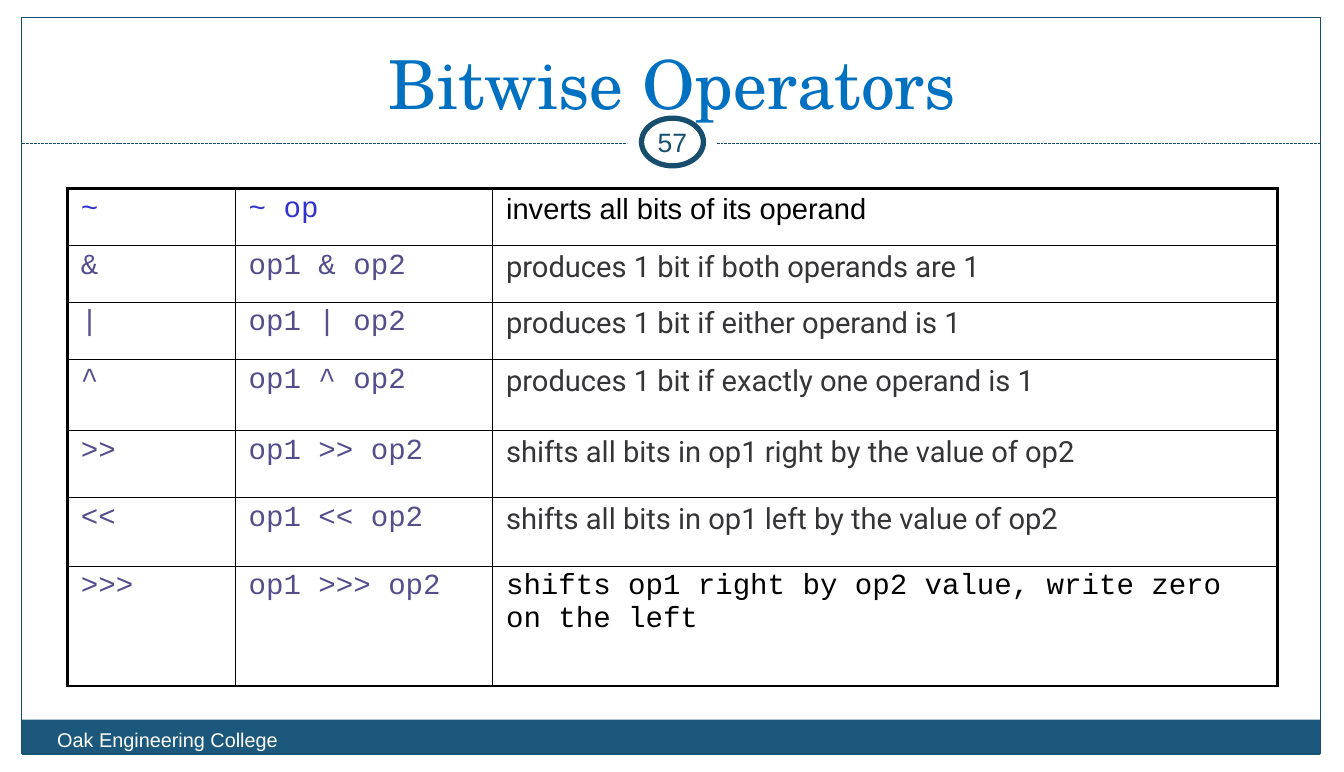
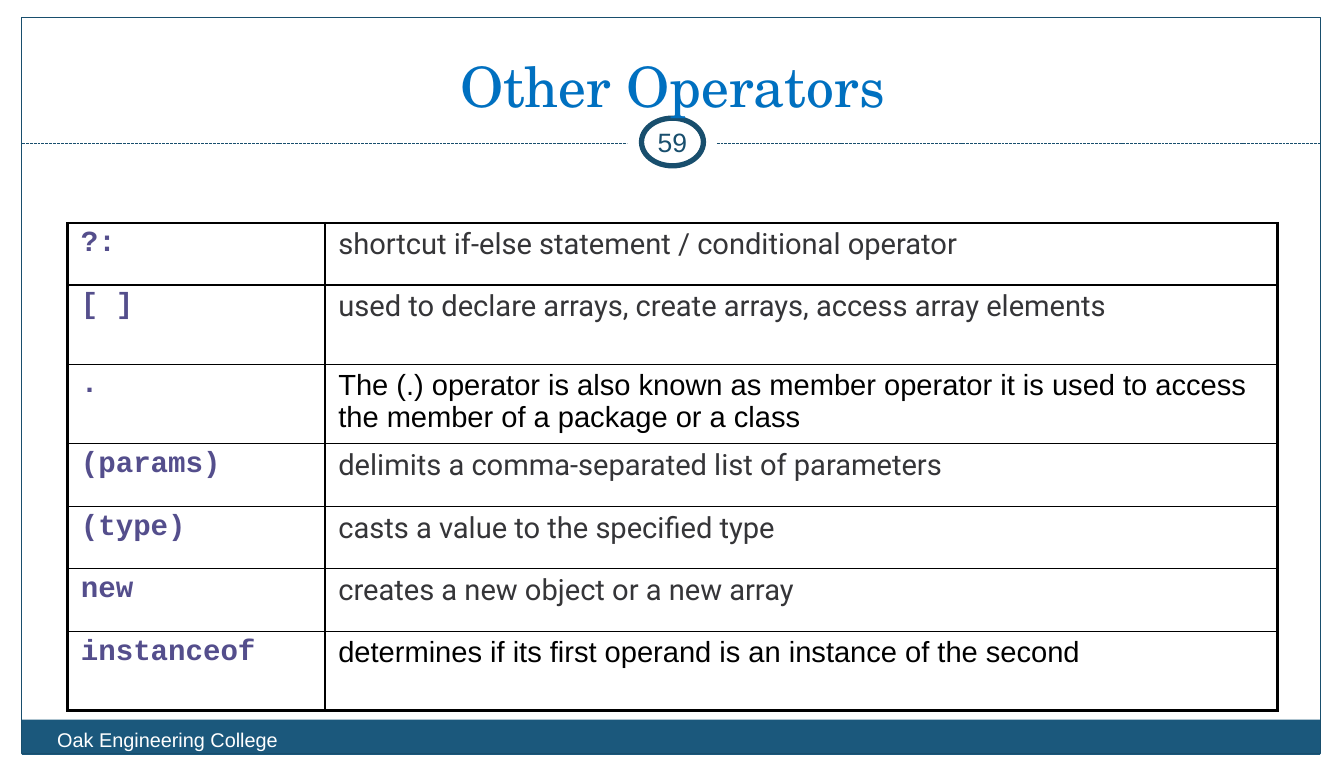
"""Build two slides of operator tables in one shared frame."""
import pptx
import pptx.dml.color
import pptx.enum.dml
import pptx.enum.shapes
import pptx.enum.text
import pptx.oxml
import pptx.oxml.ns
import pptx.util

In, Pt = pptx.util.Inches, pptx.util.Pt
SHAPE = pptx.enum.shapes.MSO_SHAPE
ALIGN = pptx.enum.text.PP_ALIGN
ANCHOR = pptx.enum.text.MSO_ANCHOR

W, H = 14.1, 8.1
COLORS = {"white": "FFFFFF", "black": "000000", "band": "1B587C", "edge": "184E6D",
          "title": "0070C0", "blue": "3232CE", "code": "544E8C", "grey": "353538"}
FOOTER = "Oak Engineering College"
STYLES = {
    "head": {"name": "Courier New", "color": "blue"},
    "code": {"name": "Courier New", "color": "code"},
    "bold": {"name": "Courier New", "color": "code", "bold": True},
    "mono": {"name": "Courier New", "color": "black"},
    "text": {"name": "Roboto", "color": "grey"},
    "plain": {"name": "Arial", "color": "black"},
}
LEFT, TABLE_W = 0.71, 12.69
INSET = (0.13, 0.06)
CELL_INSET = (0.14, 0.05)
OUTER, INNER = 2.25, 1

SLIDES = [
    {"title": "Bitwise Operators", "size": 51, "bottom": 1.35, "number": "57",
     "top": 1.98, "cols": [1.76, 2.7, 8.23],
     "rows": [
         (0.6, ("head", "head", "plain"), ("~", "~ op", "inverts all bits of its operand")),
         (0.59, ("code", "code", "text"), ("&", "op1 & op2", "produces 1 bit if both operands are 1")),
         (0.6, ("code", "code", "text"), ("|", "op1 | op2", "produces 1 bit if either operand is 1")),
         (0.75, ("code", "code", "text"), ("^", "op1 ^ op2", "produces 1 bit if exactly one operand is 1")),
         (0.7, ("code", "code", "text"), (">>", "op1 >> op2", "shifts all bits in op1 right by the value of op2")),
         (0.72, ("code", "code", "text"), ("<<", "op1 << op2", "shifts all bits in op1 left by the value of op2")),
         (1.26, ("code", "code", "mono"),
          (">>>", "op1 >>> op2", "shifts op1 right by op2 value, write zero on the left")),
     ]},
    {"title": "Other Operators", "size": 42, "bottom": 1.3, "number": "59",
     "top": 2.34, "cols": [2.7, 9.99],
     "rows": [
         (0.65, ("bold", "text"), ("?:", "shortcut if-else statement / conditional operator")),
         (0.83, ("bold", "text"), ("[ ]", "used to declare arrays, create arrays, access array elements")),
         (0.83, ("bold", "plain"),
          (".", "The (.) operator is also known as member operator it is used to access "
                "the member of a package or a class")),
         (0.66, ("bold", "text"), ("(params)", "delimits a comma-separated list of parameters")),
         (0.65, ("bold", "text"), ("(type)", "casts a value to the specified type")),
         (0.66, ("bold", "text"), ("new", "creates a new object or a new array")),
         (0.83, ("bold", "plain"),
          ("instanceof", "determines if its first operand is an instance of the second")),
     ]},
]


def rgb(name):
    return pptx.dml.color.RGBColor.from_string(COLORS[name])


def write(tf, text, size, color, name="Arial", bold=False, align=ALIGN.LEFT):
    p = tf.paragraphs[0]
    p.alignment = align
    r = p.add_run()
    r.text = text
    for key, value in {"size": Pt(size), "name": name, "bold": bold}.items():
        setattr(r.font, key, value)
    r.font.color.rgb = rgb(color)


def set_margins(obj, x, y):
    for side, value in {"left": x, "right": x, "top": y, "bottom": y}.items():
        setattr(obj, f"margin_{side}", In(value))


def add_shape(s, kind, box, fill=None, line=None, width=0.75):
    sp = s.shapes.add_shape(kind, *map(In, box))
    sp.shadow.inherit = False
    for part, color in ((sp.fill, fill), (sp.line.fill, line)):
        if color:
            part.solid()
            part.fore_color.rgb = rgb(color)
        else:
            part.background()
    if line:
        sp.line.width = Pt(width)
    return sp


def add_text(s, box, text, size, color, anchor=ANCHOR.TOP, **style):
    tf = s.shapes.add_textbox(*map(In, box)).text_frame
    tf.word_wrap = True
    tf.vertical_anchor = anchor
    set_margins(tf, *INSET)
    write(tf, text, size, color, **style)


def add_frame(s, number):
    x, w = 0.23, 13.62
    add_shape(s, SHAPE.RECTANGLE, (x, 7.55, w, 0.37), "band")
    add_shape(s, SHAPE.RECTANGLE, (x, 0.18, w, 7.73), line="edge")
    rule = s.shapes.add_connector(pptx.enum.shapes.MSO_CONNECTOR.STRAIGHT,
                                  In(x), In(1.51), In(x + w), In(1.51))
    rule.line.color.rgb = rgb("edge")
    rule.line.width = Pt(0.75)
    rule.line.dash_style = pptx.enum.dml.MSO_LINE.SQUARE_DOT
    pptx.oxml.ns.qn("a:effectLst")
    rule._element.spPr.append(pptx.oxml.parse_xml(
        f'<a:effectLst {pptx.oxml.ns.nsdecls("a")}/>'))
    add_shape(s, SHAPE.OVAL, (6.58, 1.13, 0.94, 0.72), "white")
    ring = add_shape(s, SHAPE.OVAL, (6.73, 1.24, 0.65, 0.5), "white", "edge", 4)
    tf = ring.text_frame
    tf.word_wrap = False
    tf.vertical_anchor = ANCHOR.MIDDLE
    set_margins(tf, 0, 0)
    write(tf, number, 20, "edge", align=ALIGN.CENTER)
    add_text(s, (0.47, 7.57, 5.52, 0.43), FOOTER, 15, "white")


def set_borders(cell, widths):
    tc_pr = cell._tc.get_or_add_tcPr()
    for i, (side, width) in enumerate(widths.items()):
        tc_pr.insert(i, pptx.oxml.parse_xml(
            f'<a:ln{side} {pptx.oxml.ns.nsdecls("a")} w="{Pt(width)}"><a:solidFill>'
            f'<a:srgbClr val="{COLORS["black"]}"/></a:solidFill></a:ln{side}>'))


def add_table(s, top, cols, rows):
    height = sum(row[0] for row in rows)
    table = s.shapes.add_table(len(rows), len(cols), In(LEFT), In(top),
                               In(TABLE_W), In(height)).table
    table.first_row = table.horz_banding = False
    for column, width in zip(table.columns, cols):
        column.width = In(width)
    last_row, last_col = len(rows) - 1, len(cols) - 1
    for i, (row_height, styles, texts) in enumerate(rows):
        table.rows[i].height = In(row_height)
        for j, (style, text) in enumerate(zip(styles, texts)):
            cell = table.cell(i, j)
            cell.fill.background()
            set_margins(cell, *CELL_INSET)
            write(cell.text_frame, text, 22, **STYLES[style])
            edges = {"L": j == 0, "R": j == last_col, "T": i == 0, "B": i == last_row}
            set_borders(cell, {k: OUTER if edge else INNER for k, edge in edges.items()})


def main():
    prs = pptx.Presentation()
    prs.slide_width, prs.slide_height = In(W), In(H)
    for data in SLIDES:
        s = prs.slides.add_slide(prs.slide_layouts[6])
        add_frame(s, data["number"])
        add_text(s, (LEFT, 0.54, TABLE_W, data["bottom"] - 0.54), data["title"], data["size"],
                 "title", ANCHOR.BOTTOM, name="TeX Gyre Schola", align=ALIGN.CENTER)
        add_table(s, data["top"], data["cols"], data["rows"])
    prs.save("out.pptx")


if __name__ == "__main__":
    main()
